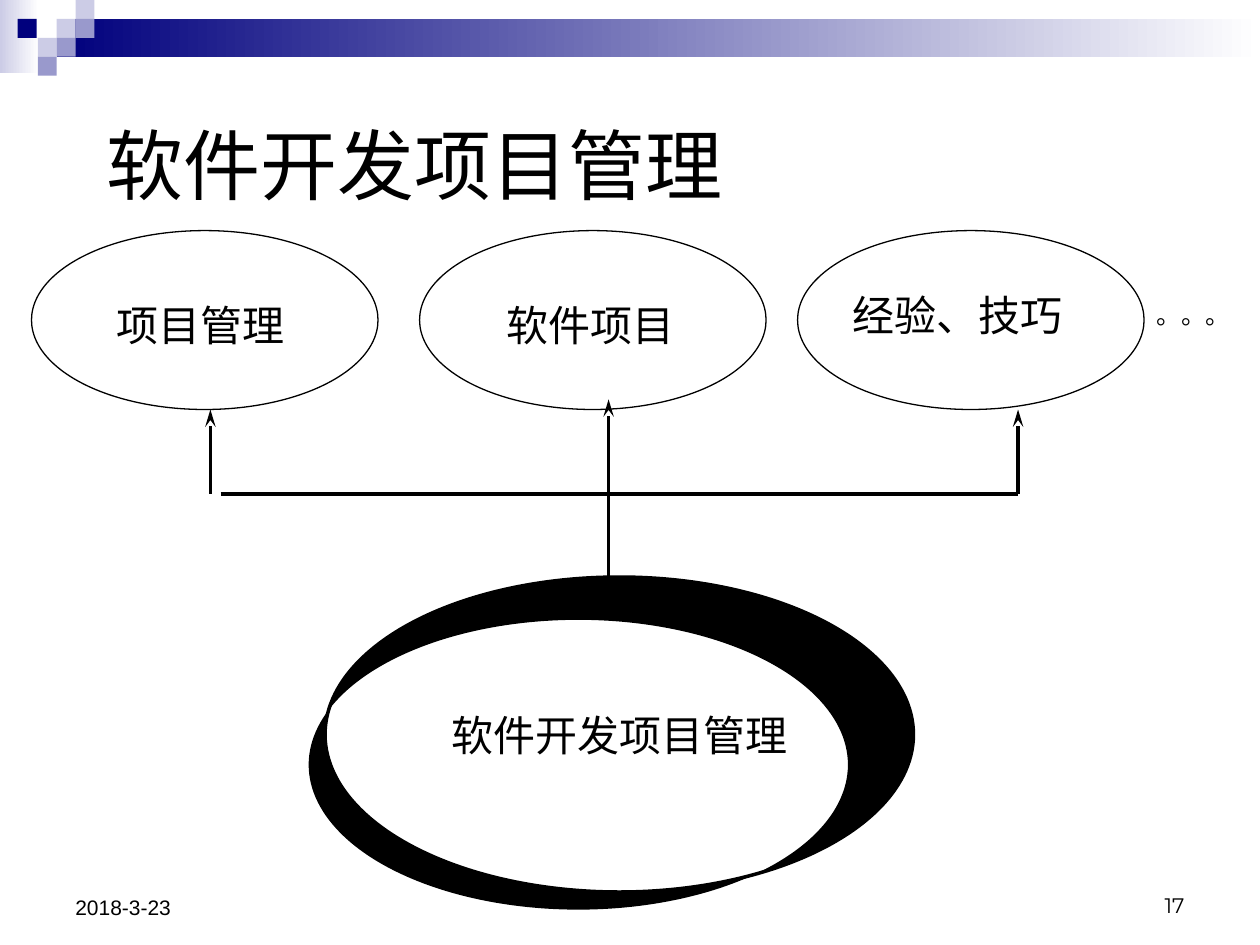
from lxml import etree
from pptx import Presentation
from pptx import util as u
from pptx.dml.color import RGBColor
from pptx.enum import shapes, text
from pptx.oxml import ns

BLACK = RGBColor(0x00, 0x00, 0x00)
WHITE = RGBColor(0xFF, 0xFF, 0xFF)
NAVY = RGBColor(0x00, 0x00, 0x7D)
LILAC = RGBColor(0xCC, 0xCC, 0xE6)
VIOLET = RGBColor(0x99, 0x99, 0xCC)

deck = Presentation()
deck.slide_width, deck.slide_height = u.Inches(10), u.Inches(7.5)
page = deck.slides.add_slide(deck.slide_layouts[6])


def add_shape(kind, left, top, width, height, fill=None, line=None):
    """Add a flat shape; a pair of fill colours makes a left-to-right gradient."""
    shape = page.shapes.add_shape(kind, *map(u.Inches, (left, top, width, height)))
    shape.shadow.inherit = False
    if isinstance(fill, list):
        shape.fill.gradient()
        shape.fill.gradient_angle = 0
        for stop, colour, position in zip(shape.fill.gradient_stops, fill, (0, 1)):
            stop.color.rgb, stop.position = colour, position
    elif fill is not None:
        shape.fill.solid()
        shape.fill.fore_color.rgb = fill
    else:
        shape.fill.background()
    if line:
        shape.line.color.rgb, shape.line.width = BLACK, u.Pt(line)
    else:
        shape.line.fill.background()
    return shape


def write(box, words, size=24, font="Arial Narrow", align=text.PP_ALIGN.LEFT,
          anchor=text.MSO_ANCHOR.TOP, wrap=True):
    frame = box.text_frame
    frame.word_wrap, frame.vertical_anchor = wrap, anchor
    para = frame.paragraphs[0]
    para.alignment = align
    span = para.add_run()
    span.text = words
    span.font.size, span.font.name = u.Pt(size), font
    span.font.color.rgb = BLACK


# Header band and its checkered squares
RECTANGLE, OVAL = shapes.MSO_SHAPE.RECTANGLE, shapes.MSO_SHAPE.OVAL
add_shape(RECTANGLE, 0, 0, 0.31, 0.58, [LILAC, WHITE])
add_shape(RECTANGLE, 0.45, 0.15, 9.55, 0.3, [NAVY, WHITE])
SQUARE = 0.15
for left, top, colour in [(0.45, 0.15, LILAC), (0.6, 0, LILAC), (0.6, 0.15, VIOLET),
                          (0.3, 0.3, LILAC), (0.14, 0.15, NAVY),
                          (0.45, 0.3, VIOLET), (0.3, 0.45, VIOLET)]:
    add_shape(RECTANGLE, left, top, SQUARE, SQUARE, colour)

# Three source ellipses
for left in (0.25, 3.33, 6.33):
    add_shape(OVAL, left, 1.83, 2.75, 1.42, line=0.75)

# Title, footer and ellipse labels
BOTTOM = text.MSO_ANCHOR.BOTTOM
for words, place, style in [
    ("软件开发项目管理", (0.75, 0.67, 8.5, 1.25),
     dict(size=44, font="Noto Sans CJK SC", anchor=text.MSO_ANCHOR.MIDDLE)),
    ("2018-3-23", (0.5, 6.83, 2.33, 0.52), dict(size=12, font="Arial", anchor=BOTTOM)),
    ("17", (7.17, 6.83, 2.33, 0.5),
     dict(size=12, font="Montserrat", anchor=BOTTOM, align=text.PP_ALIGN.RIGHT)),
    ("项目管理", (0.83, 2.33, 1.75, 0.5), {}),
    ("软件项目", (3.92, 2.33, 1.75, 0.5), {}),
    ("经验、技巧", (6.67, 2.25, 2.08, 0.5), {}),
    ("。。。", (9.08, 2.33, 0.92, 0.33), dict(size=14)),
]:
    write(page.shapes.add_textbox(*map(u.Inches, place)), words, **style)

# Black rim: two offset ellipses in one outline, hollow where they overlap
front = (2.58, 4.58, 4.67, 2.5)
rear = (2.45, 4.92, 4.28, 2.3)
rim_left, rim_top, rim_right, rim_bottom = (
    u.Inches(edge) for edge in (2.45, 4.58, 7.25, 7.22))
builder = page.shapes.build_freeform(rim_left, rim_top)
builder.add_line_segments([(rim_right, rim_top), (rim_right, rim_bottom),
                           (rim_left, rim_bottom)])
rim = builder.convert_to_shape()
rim.shadow.inherit = False
rim.fill.solid()
rim.fill.fore_color.rgb = BLACK
rim.line.fill.background()
outline = rim._element.find(".//" + ns.qn("a:path"))
for corner in list(outline):
    outline.remove(corner)
for ellipse in (front, rear):
    left, top, width, height = map(u.Inches, ellipse)
    start = etree.SubElement(outline, ns.qn("a:moveTo"))
    etree.SubElement(start, ns.qn("a:pt"), x=str(left - rim_left),
                     y=str(top - rim_top + height // 2))
    for angle in (180, 0):
        etree.SubElement(outline, ns.qn("a:arcTo"), wR=str(width // 2),
                         hR=str(height // 2), stAng=str(angle * 60000),
                         swAng=str(180 * 60000))
    etree.SubElement(outline, ns.qn("a:close"))

# Main ellipse
write(add_shape(OVAL, *front, line=2), "软件开发项目管理",
      align=text.PP_ALIGN.CENTER, anchor=text.MSO_ANCHOR.MIDDLE, wrap=False)

# Crossbar and arrows up to the sources
for x1, y1, x2, y2, arrow in [(1.75, 3.92, 8.08, 3.92, False),
                              (4.83, 4.58, 4.83, 3.17, True),
                              (1.67, 3.92, 1.67, 3.25, True),
                              (8.08, 3.92, 8.08, 3.25, True)]:
    link = page.shapes.add_connector(shapes.MSO_CONNECTOR.STRAIGHT,
                                     *map(u.Inches, (x1, y1, x2, y2)))
    link.line.color.rgb, link.line.width = BLACK, u.Pt(2)
    if arrow:
        etree.SubElement(link.line._get_or_add_ln(), ns.qn("a:tailEnd"),
                         type="stealth", w="med", len="lg")
    etree.SubElement(link._element.spPr, ns.qn("a:effectLst"))

deck.save("out.pptx")
